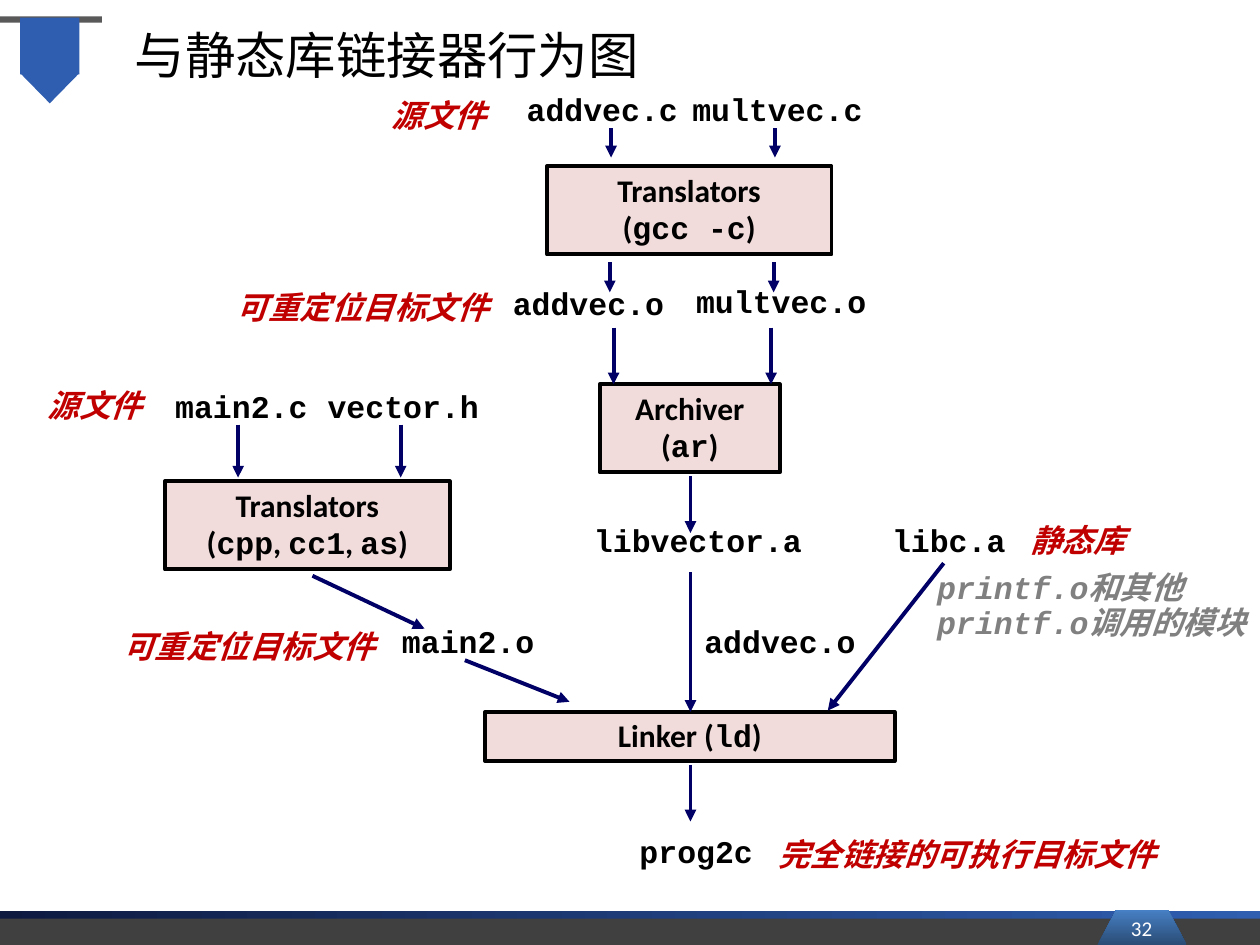
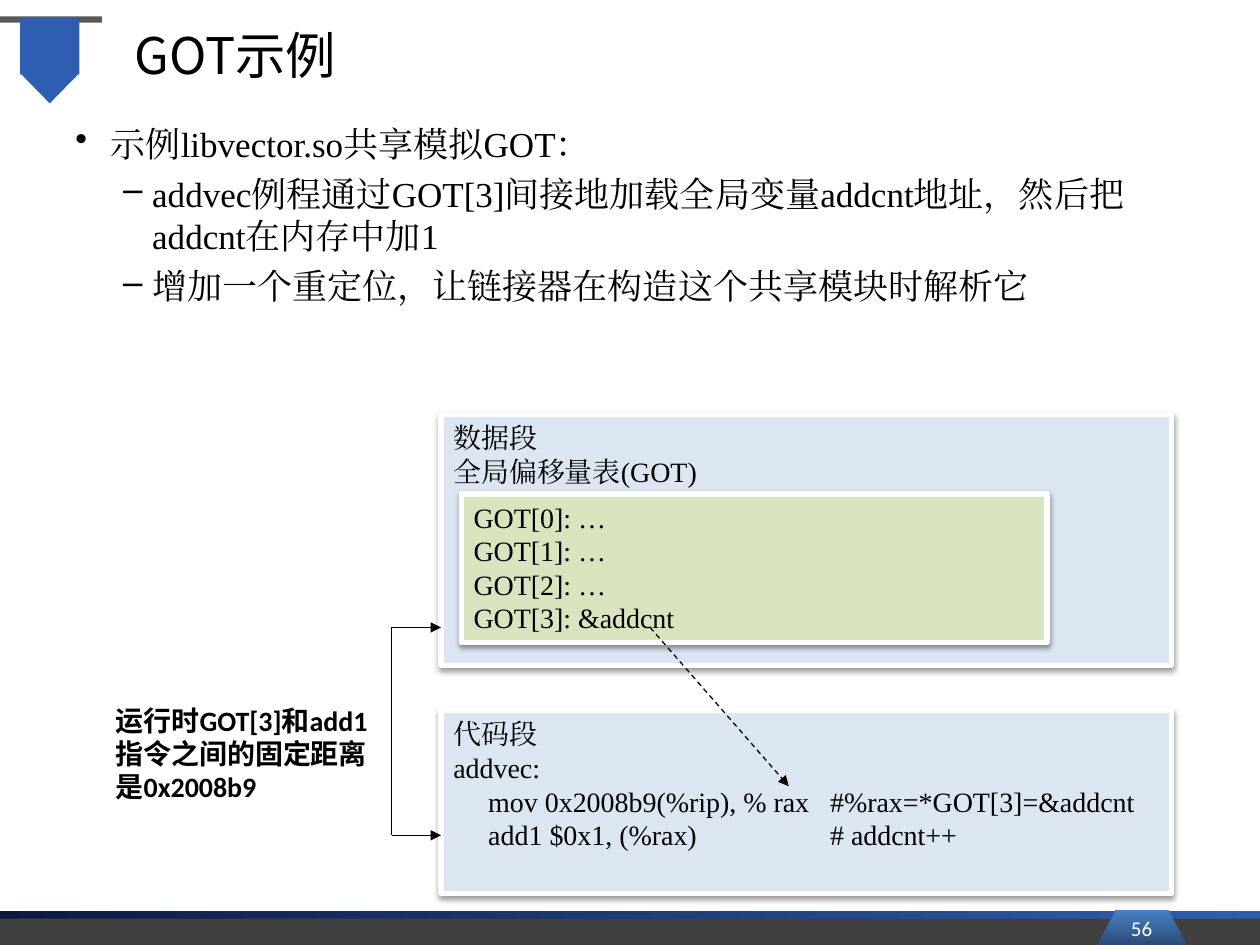
from pptx import Presentation
from pptx.dml.color import RGBColor
from pptx.enum.dml import MSO_LINE
from pptx.enum.shapes import MSO_CONNECTOR, MSO_SHAPE
from pptx.enum.text import MSO_ANCHOR, PP_ALIGN
from pptx.oxml import parse_xml
from pptx.oxml.ns import nsdecls, qn
from pptx.util import Cm, Pt

RECT, WEDGE = MSO_SHAPE.RECTANGLE, MSO_SHAPE.ISOSCELES_TRIANGLE
TRAP = MSO_SHAPE.TRAPEZOID
LINE, DASH = MSO_CONNECTOR.STRAIGHT, MSO_LINE.DASH
LEFT, MID = PP_ALIGN.LEFT, PP_ALIGN.CENTER
TOP, CORE = MSO_ANCHOR.TOP, MSO_ANCHOR.MIDDLE

SANS, MONO = "Calibri", "Courier New"
SERIF, HEAD = "Times New Roman", "Noto Sans CJK SC"

HUES = {
    "black": "000000", "white": "FFFFFF", "red": "C00000", "gray": "808080",
    "rule": "595959", "blue": "2F5EB0", "night": "0E1A40", "foot": "404040",
    "steel": "2A4C75", "sky": "4780C5", "navy": "000066", "pink": "F2DCDB",
    "ice": "DCE6F2", "lime": "D7E4BD",
}


def scale(*nums):
    """Turn grid units of 2.54 cm into lengths."""
    return [Cm(2.54 * num) for num in nums]


def hue(name):
    return RGBColor.from_string(HUES[name])


class Deck:
    def __init__(self):
        self.show = Presentation()
        self.show.slide_width, self.show.slide_height = scale(10, 7.5)
        self.slide = None

    def page(self, title, num):
        """Start a slide with its frame, title and number."""
        self.slide = self.show.slides.add_slide(self.show.slide_layouts[6])
        self.shape((0, 0.13, 0.81, 0.05), "rule")
        self.shape((0.16, 0.14, 0.47, 0.45), "blue")
        self.shape((0.16, 0.58, 0.47, 0.24), "blue", kind=WEDGE).rotation = 180
        self.blend(self.shape((0, 7.23, 10, 0.27), "blue"), "night", "blue", 0)
        self.shape((0, 7.29, 10, 0.21), "foot")
        tab = self.shape((8.71, 7.22, 0.71, 0.28), "blue", kind=TRAP)
        tab.adjustments[0] = 0.535
        self.blend(tab, "steel", "sky", 90)
        self.label((0.97, 0.12, 8.52, 0.62), [[(title, HEAD)]], 28.8,
                   anchor=CORE)
        self.label((8.62, 7.21, 0.88, 0.31), [[(str(num), SANS)]], 12,
                   "white", align=MID, anchor=CORE)

    def blend(self, shape, first, last, angle):
        shape.fill.gradient()
        shape.fill.gradient_angle = angle
        for stop, name in zip(shape.fill.gradient_stops, (first, last)):
            stop.color.rgb = hue(name)

    def shape(self, spot, fill, edge=None, width=0, kind=RECT):
        shape = self.slide.shapes.add_shape(kind, *scale(*spot))
        shape.shadow.inherit = False
        shape.fill.solid()
        shape.fill.fore_color.rgb = hue(fill)
        if edge:
            shape.line.color.rgb = hue(edge)
            shape.line.width = Pt(width)
        else:
            shape.line.fill.background()
        return shape

    def letter(self, shape, paras, size, color="black", align=LEFT, anchor=TOP,
               space=1.0, bold=False, slant=False, wrap=True):
        """Fill a shape with paragraphs, each a list of (text, font) runs."""
        frame = shape.text_frame
        frame.word_wrap = wrap
        frame.vertical_anchor = anchor
        for idx, runs in enumerate(paras):
            para = frame.add_paragraph() if idx else frame.paragraphs[0]
            para.alignment = align
            para.line_spacing = space
            for text, face in runs:
                run = para.add_run()
                run.text = text
                font = run.font
                font.name, font.size = face, Pt(size)
                font.bold, font.italic = bold, slant
                font.color.rgb = hue(color)
                east = parse_xml(f'<a:ea {nsdecls("a")} typeface="{face}"/>')
                run._r.rPr.find(qn("a:latin")).addnext(east)
        return frame.paragraphs

    def label(self, spot, paras, size, color="black", **style):
        box = self.slide.shapes.add_textbox(*scale(*spot))
        return self.letter(box, paras, size, color, **style)

    def item(self, left, top, width, name):
        self.label((left, top, width, 0.39), [[(name, MONO)]], 18,
                   align=MID, space=0.94, bold=True, wrap=False)

    def note(self, left, top, width, text):
        self.label((left, top, width, 0.4), [[(text, SANS)]], 18, "red",
                   space=0.98, bold=True, slant=True, wrap=False)

    def tool(self, spot, *paras):
        box = self.shape(spot, "pink", "black", 2.25)
        self.letter(box, paras, 18, align=MID, anchor=CORE, space=0.98,
                    bold=True)

    def panel(self, spot, fill, *rows):
        """Draw a white-edged box with a soft shadow and lines of text."""
        box = self.shape(spot, fill, "white", 3)
        box._element.spPr.find(qn("a:effectLst")).append(parse_xml(
            f'<a:outerShdw {nsdecls("a")} blurRad="40000" dist="20000" '
            f'dir="5400000" rotWithShape="0"><a:srgbClr val="{HUES["black"]}">'
            '<a:alpha val="38000"/></a:srgbClr></a:outerShdw>'))
        return self.letter(box, [[(row, SERIF)] for row in rows], 16)

    def line(self, x1, y1, x2, y2, color="navy", width=2.25, tip=True,
             dash=None):
        wire = self.slide.shapes.add_connector(LINE, *scale(x1, y1, x2, y2))
        wire.line.color.rgb = hue(color)
        wire.line.width = Pt(width)
        if dash:
            wire.line.dash_style = dash
        if tip:
            wire._element.spPr.find(qn("a:ln")).append(parse_xml(
                f'<a:tailEnd {nsdecls("a")} type="triangle"/>'))
        wire._element.spPr.append(parse_xml(
            f'<a:effectLst {nsdecls("a")}/>'))

    def bullet(self, para, mark, left, hang):
        props = para._p.get_or_add_pPr()
        left, hang = scale(left, hang)
        props.set("marL", str(left))
        props.set("indent", str(-hang))
        props.append(parse_xml(f'<a:buChar {nsdecls("a")} char="{mark}"/>'))

    def stop(self, para, place):
        """Set one left tab stop."""
        para._p.get_or_add_pPr().append(parse_xml(
            f'<a:tabLst {nsdecls("a")}><a:tab pos="{scale(place)[0]}" '
            'algn="l"/></a:tabLst>'))


def link_page(deck):
    deck.page("与静态库链接器行为图", 32)

    # Tools
    deck.tool((4.34, 1.32, 2.26, 0.7), [("Translators", SANS)],
              [("(", SANS), ("gcc -c", MONO), (")", SANS)])
    deck.tool((1.31, 3.82, 2.26, 0.7), [("Translators", SANS)],
              [("(", SANS), ("cpp", MONO), (", ", SANS), ("cc1", MONO),
               (", ", SANS), ("as", MONO), (")", SANS)])
    deck.tool((4.76, 3.05, 1.43, 0.7), [("Archiver", SANS)],
              [("(", SANS), ("ar", MONO), (")", SANS)])
    deck.tool((3.85, 5.65, 3.25, 0.39),
              [("Linker (", SANS), ("ld", MONO), (")", SANS)])

    # Files
    for left, top, width, name in (
            (4.08, 0.69, 1.4, "addvec.c"), (5.39, 0.69, 1.56, "multvec.c"),
            (3.97, 2.23, 1.4, "addvec.o"), (5.42, 2.21, 1.56, "multvec.o"),
            (1.29, 3.05, 1.25, "main2.c"), (2.5, 3.05, 1.4, "vector.h"),
            (4.61, 4.11, 1.86, "libvector.a"), (6.98, 4.11, 1.1, "libc.a"),
            (3.09, 4.91, 1.25, "main2.o"), (5.49, 4.91, 1.4, "addvec.o"),
            (4.97, 6.58, 1.11, "prog2c")):
        deck.item(left, top, width, name)

    # Red notes
    for left, top, width, text in (
            (3.01, 0.73, 0.96, "源文件"), (0.28, 3.03, 0.96, "源文件"),
            (1.78, 2.25, 2.22, "可重定位目标文件"),
            (0.88, 4.94, 2.22, "可重定位目标文件"),
            (8.08, 4.1, 0.96, "静态库"),
            (6.08, 6.59, 3.23, "完全链接的可执行目标文件")):
        deck.note(left, top, width, text)
    deck.label((7.34, 4.48, 2.7, 0.68),
               [[("printf.o和其他", MONO)], [("printf.o调用的模块", MONO)]],
               18, "gray", space=0.94, bold=True, slant=True)

    # Straight arrows down
    for x, top, end in (
            (4.85, 1.02, 1.25), (6.15, 1.02, 1.25),
            (4.84, 2.08, 2.32), (6.14, 2.08, 2.32),
            (4.87, 2.6, 3.05), (6.12, 2.6, 3.05),
            (1.89, 3.37, 3.79), (3.18, 3.37, 3.79),
            (5.48, 3.78, 4.23), (5.48, 4.54, 5.65), (5.48, 6.07, 6.52)):
        deck.line(x, top, x, end)

    # Slanted arrows
    deck.line(2.48, 4.57, 3.37, 4.99)
    deck.line(3.69, 5.24, 4.52, 5.57)
    deck.line(7.49, 4.47, 6.57, 5.64)


def got_page(deck):
    deck.page("GOT示例", 56)

    # Bullets
    paras = deck.label((0.5, 0.92, 9, 1.6), [[(text, SERIF)] for text in (
        "示例libvector.so共享模拟GOT：",
        "addvec例程通过GOT[3]间接地加载全局变量addcnt地址，然后把addcnt在内存中加1",
        "增加一个重定位，让链接器在构造这个共享模块时解析它")], 20)
    deck.bullet(paras[0], "•", 0.28, 0.28)
    for para in paras[1:]:
        para.space_before = Pt(4.8)
        deck.bullet(para, "–", 0.61, 0.23)

    # Data and code segments
    deck.panel((3.5, 3.29, 5.8, 1.99), "ice", "数据段", "全局偏移量表(GOT)")
    deck.panel((3.66, 3.92, 4.65, 1.18), "lime", "GOT[0]: …", "GOT[1]: …",
               "GOT[2]: …", "GOT[3]: &addcnt")
    code = deck.panel((3.5, 5.64, 5.8, 1.45), "ice", "代码段", "addvec:",
                      "     mov 0x2008b9(%rip), % rax\t#%rax=*GOT[3]=&addcnt",
                      "     add1 $0x1, (%rax)\t# addcnt++")
    for para in code[2:]:
        deck.stop(para, 2.99)

    # Pointer and distance bracket
    deck.line(5.16, 4.98, 6.26, 6.24, "black", 0.75, dash=DASH)
    deck.line(3.11, 6.63, 3.11, 4.98, "black", 0.75, tip=False)
    for y in (4.98, 6.63):
        deck.line(3.11, y, 3.5, y, "black", 0.75)
    deck.label((0.82, 5.55, 2.39, 0.89),
               [[("运行时GOT[3]和add1指令之间的固定距离是0x2008b9", SANS)]],
               16, space=0.98, bold=True)


def main():
    deck = Deck()
    link_page(deck)
    got_page(deck)
    deck.show.save("out.pptx")


if __name__ == "__main__":
    main()
